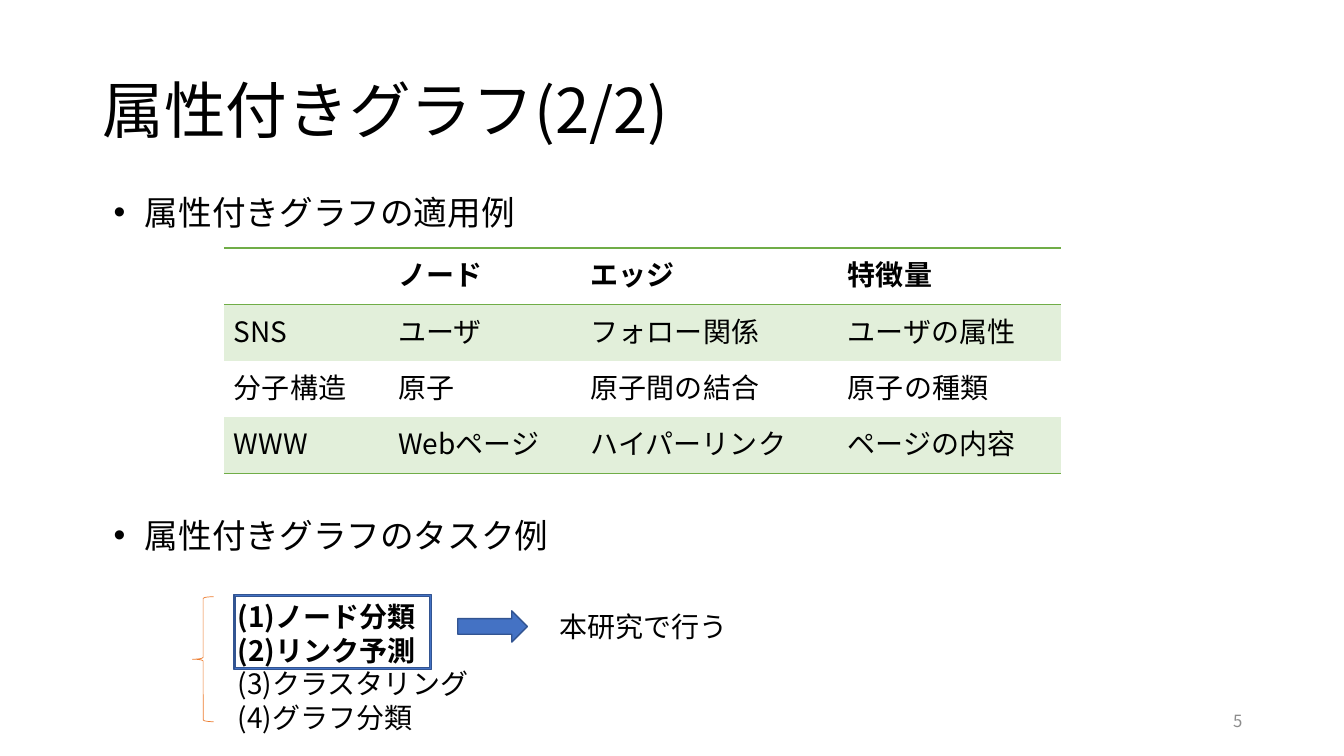
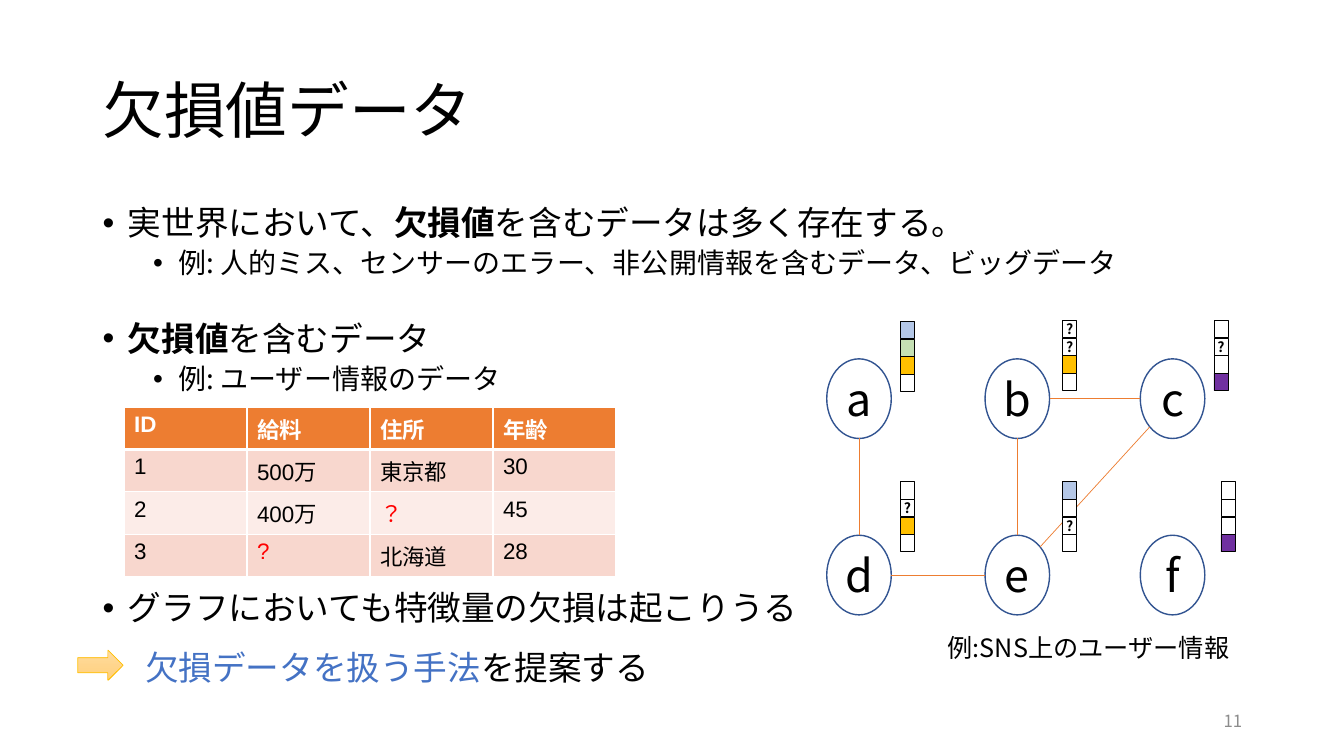
from lxml.etree import SubElement as Sub
from pptx import Presentation
from pptx.dml.color import RGBColor as RGB
from pptx.enum.shapes import MSO_CONNECTOR as LINE, MSO_SHAPE as SHAPE
from pptx.enum.text import MSO_ANCHOR as ANCHOR, PP_ALIGN as ALIGN
from pptx.oxml.ns import qn
from pptx.util import Inches, Pt

BLACK = RGB(0x00, 0x00, 0x00)
WHITE = RGB(0xFF, 0xFF, 0xFF)
GREY = RGB(0x8C, 0x8C, 0x8C)
RED = RGB(0xFF, 0x00, 0x00)
BLUE = RGB(0x44, 0x72, 0xC4)
NAVY = RGB(0x32, 0x54, 0x91)
ORANGE = RGB(0xED, 0x7D, 0x31)
GOLD = RGB(0xFF, 0xC0, 0x00)
GREEN = RGB(0x70, 0xAD, 0x47)
MINT = RGB(0xE2, 0xEF, 0xDA)
ROSE = RGB(0xF8, 0xD7, 0xCE)
BLUSH = RGB(0xFC, 0xEC, 0xE8)
SKY = RGB(0xB4, 0xC7, 0xE7)
LEAF = RGB(0xC5, 0xE0, 0xB4)
PURPLE = RGB(0x70, 0x30, 0xA0)
SAND = RGB(0xFF, 0xDB, 0x9E)
AMBER = RGB(0xFF, 0xD0, 0x7C)
FACE = "Noto Sans CJK JP"
PLAIN = "{2D5ABB26-0587-4C30-8999-92F81FD0307C}"


def say(para, text, size, color=BLACK, bold=False, face=FACE):
    run = para.add_run()
    run.text = text
    font = run.font
    font.size, font.bold, font.name = Pt(size), bold, face
    font.color.rgb = color
    Sub(font._element, qn("a:ea")).set("typeface", FACE)


def draw(slide, kind, x, y, w, h, fill=None, line=None, width=1):
    """Add a shape, or a text box when kind is None."""
    spot = [Inches(v) for v in (x, y, w, h)]
    if kind is None:
        shape = slide.shapes.add_textbox(*spot)
        shape.text_frame.word_wrap = True
        return shape
    shape = slide.shapes.add_shape(kind, *spot)
    shape.shadow.inherit = False
    shape.fill.solid()
    shape.fill.fore_color.rgb = fill
    shape.line.color.rgb = line
    shape.line.width = Pt(width)
    return shape


deck = Presentation()
deck.slide_width, deck.slide_height = Inches(13.33), Inches(7.5)

# Titles and page numbers
pages = []
for title, num in (("属性付きグラフ(2/2)", "5"), ("欠損値データ", "11")):
    page = deck.slides.add_slide(deck.slide_layouts[6])
    pages.append(page)
    frame = draw(page, None, 0.92, 0.4, 11.5, 1.45).text_frame
    frame.vertical_anchor = ANCHOR.MIDDLE
    frame.paragraphs[0].line_spacing = 0.9
    say(frame.paragraphs[0], title, 44)
    frame = draw(page, None, 9.42, 6.95, 3, 0.4).text_frame
    frame.vertical_anchor = ANCHOR.MIDDLE
    frame.paragraphs[0].alignment = ALIGN.RIGHT
    say(frame.paragraphs[0], num, 12, GREY)
tasks, gaps = pages

# Bullets: indent, hang, space before, size, runs (bold or not)
lists = [
    (tasks, (1.03, 1.85, 4.7, 3.74), 1.0, [
        (0.31, 0.31, 0, 24, [("属性付きグラフの適用例", False)]),
        (0.31, 0.31, 202, 24, [("属性付きグラフのタスク例", False)]),
    ]),
    (gaps, (0.92, 2, 11.5, 4.76), 0.9, [
        (0.25, 0.25, 0, 24, [("実世界において、", False), ("欠損値", True),
                             ("を含むデータは多く存在する。", False)]),
        (0.75, 0.25, 5, 20, [("例: 人的ミス、センサーのエラー、非公開情報を含むデータ、ビッグデータ", False)]),
        (0.25, 0.25, 30, 24, [("欠損値", True), ("を含むデータ", False)]),
        (0.75, 0.25, 5, 20, [("例: ユーザー情報のデータ", False)]),
        (0.25, 0.25, 140, 24, [("グラフにおいても特徴量の欠損は起こりうる", False)]),
    ]),
]
for page, spot, pitch, items in lists:
    frame = draw(page, None, *spot).text_frame
    for i, (left, hang, before, size, runs) in enumerate(items):
        para = frame.add_paragraph() if i else frame.paragraphs[0]
        props = para._p.get_or_add_pPr()
        props.set("marL", str(Inches(left)))
        props.set("indent", str(-Inches(hang)))
        Sub(props, qn("a:buFont")).set("typeface", "Arial")
        Sub(props, qn("a:buChar")).set("char", "•")
        para.line_spacing = pitch
        if before:
            para.space_before = Pt(before)
        for text, bold in runs:
            say(para, text, size, BLACK, bold)

# Tables: head colour, row fills, then borders of first, middle and last rows
thin, thick = (WHITE, 1), (WHITE, 3)
rule = (GREEN, 1)
sides = {"L": thin, "R": thin, "B": thin}
tables = [
    (tasks, 2.22, 2.46, (1.63, 1.91, 2.55, 2.21), 0.56, 20, FACE, BLACK,
     (None, MINT, None, MINT),
     ({"T": rule, "B": rule}, {}, {"B": rule}),
     [("", "ノード", "エッジ", "特徴量"),
      ("SNS", "ユーザ", "フォロー関係", "ユーザの属性"),
      ("分子構造", "原子", "原子間の結合", "原子の種類"),
      ("WWW", "Webページ", "ハイパーリンク", "ページの内容")]),
    (gaps, 1.23, 4.04, (1.22,) * 4, 0.42, 16, "Arial", WHITE,
     (ORANGE, ROSE, BLUSH, ROSE),
     ({"L": thin, "R": thin, "T": thin, "B": thick}, sides, sides),
     [("ID", "給料", "住所", "年齢"),
      ("1", "500万", "東京都", "30"),
      ("2", "400万", "？", "45"),
      ("3", "?", "北海道", "28")]),
]
for page, x, y, cols, high, size, face, ink, fills, edges, rows in tables:
    item = page.shapes.add_table(len(rows), len(cols), Inches(x), Inches(y),
                                 Inches(sum(cols)), Inches(high * len(rows)))
    grid = item.table
    grid.first_row = grid.horz_banding = False
    item.element.find(".//" + qn("a:tableStyleId")).text = PLAIN
    for col, wide in zip(grid.columns, cols):
        col.width = Inches(wide)
    for r, row in enumerate(rows):
        grid.rows[r].height = Inches(high)
        edge = edges[0 if r == 0 else 2 if r == len(rows) - 1 else 1]
        for c, text in enumerate(row):
            cell = grid.cell(r, c)
            props = cell._tc.get_or_add_tcPr()
            for side, (color, width) in edge.items():
                line = Sub(props, qn("a:ln" + side), w=str(Pt(width)))
                fill = Sub(line, qn("a:solidFill"))
                Sub(fill, qn("a:srgbClr")).set("val", str(color))
            if fills[r] is None:
                cell.fill.background()
            else:
                cell.fill.solid()
                cell.fill.fore_color.rgb = fills[r]
            if text:
                color = RED if text in "？?" else BLACK if r else ink
                say(cell.text_frame.paragraphs[0], text, size, color, r == 0, face)

# Task list with brace, frame and arrow
draw(tasks, SHAPE.LEFT_BRACE, 1.91, 5.92, 0.21, 1.24, WHITE, ORANGE, 0.5)
frame = draw(tasks, None, 2.26, 5.9, 3.22, 1.45).text_frame
names = ("(1)ノード分類", "(2)リンク予測", "(3)クラスタリング", "(4)グラフ分類")
for i, name in enumerate(names):
    para = frame.add_paragraph() if i else frame.paragraphs[0]
    say(para, name, 20, BLACK, i < 2)
draw(tasks, SHAPE.FRAME, 2.32, 5.9, 1.96, 0.74, BLUE, NAVY).adjustments[0] = 0.024
draw(tasks, SHAPE.RIGHT_ARROW, 4.54, 6.06, 0.69, 0.31, BLUE, NAVY)

# Gradient arrow of the proposal
arrow = draw(gaps, SHAPE.RIGHT_ARROW, 0.77, 6.45, 0.45, 0.3, SAND, GOLD, 0.5)
arrow.fill.gradient()
arrow.fill.gradient_angle = 270
for stop, color, place in zip(arrow.fill.gradient_stops, (SAND, AMBER), (0, 1)):
    stop.color.rgb, stop.position = color, place

# Single lines of text
notes = [
    (tasks, (5.45, 6, 2.2, 0.44), 20, [("本研究で行う", BLACK)]),
    (gaps, (1.34, 6.37, 5.6, 0.5), 24,
     [("欠損データを扱う手法", BLUE), ("を提案する", BLACK)]),
    (gaps, (9.3, 6.22, 3.05, 0.4), 18, [("例:SNS上のユーザー情報", BLACK)]),
]
for page, spot, size, runs in notes:
    para = draw(page, None, *spot).text_frame.paragraphs[0]
    for text, color in runs:
        say(para, text, size, color)

# Graph nodes
WIDE, HIGH = 0.64, 0.79
marks = []
nodes = {}
for y, names in ((3.56, "abc"), (5.31, "def")):
    for x, name in zip((8.2, 9.77, 11.31), names):
        oval = draw(gaps, SHAPE.OVAL, x, y, WIDE, HIGH, WHITE, NAVY)
        nodes[name] = (x + WIDE / 2, y + HIGH / 2)
        marks.append((oval, name, 32, False))

# Graph edges: start, end and direction of travel
SLANT = 0.71
for start, end, dx, dy in (("b", "e", 0, 1), ("e", "d", -1, 0), ("d", "a", 0, -1),
                           ("e", "c", SLANT, -SLANT), ("c", "b", -1, 0)):
    (x1, y1), (x2, y2) = nodes[start], nodes[end]
    sx, sy = dx * WIDE / 2, dy * HIGH / 2
    link = gaps.shapes.add_connector(LINE.STRAIGHT, Inches(x1 + sx), Inches(y1 + sy),
                                     Inches(x2 - sx), Inches(y2 - sy))
    link.line.color.rgb = ORANGE
    link.line.width = Pt(0.5)
    Sub(link._element.spPr, qn("a:effectLst"))

# Feature strips, one letter for each cell
tints = {"s": SKY, "l": LEAF, "g": GOLD, "p": PURPLE}
for x, y, code in ((8.93, 3.19, "slg-"), (8.93, 4.78, "-?g-"), (10.54, 3.18, "??g-"),
                   (12.04, 3.18, "-?-p"), (10.54, 4.78, "s-?-"), (12.11, 4.78, "---p")):
    for i, key in enumerate(code):
        cell = draw(gaps, SHAPE.RECTANGLE, x, y + i * 0.175, 0.14, 0.17,
                    tints.get(key, WHITE), BLACK, 0.5)
        if key == "?":
            marks.append((cell, key, 10, True))

# Letters in nodes and strips
for shape, text, size, bold in marks:
    frame = shape.text_frame
    frame.margin_left = frame.margin_right = frame.margin_top = frame.margin_bottom = 0
    frame.word_wrap = False
    frame.vertical_anchor = ANCHOR.MIDDLE
    frame.paragraphs[0].alignment = ALIGN.CENTER
    say(frame.paragraphs[0], text, size, BLACK, bold)

deck.save("out.pptx")
